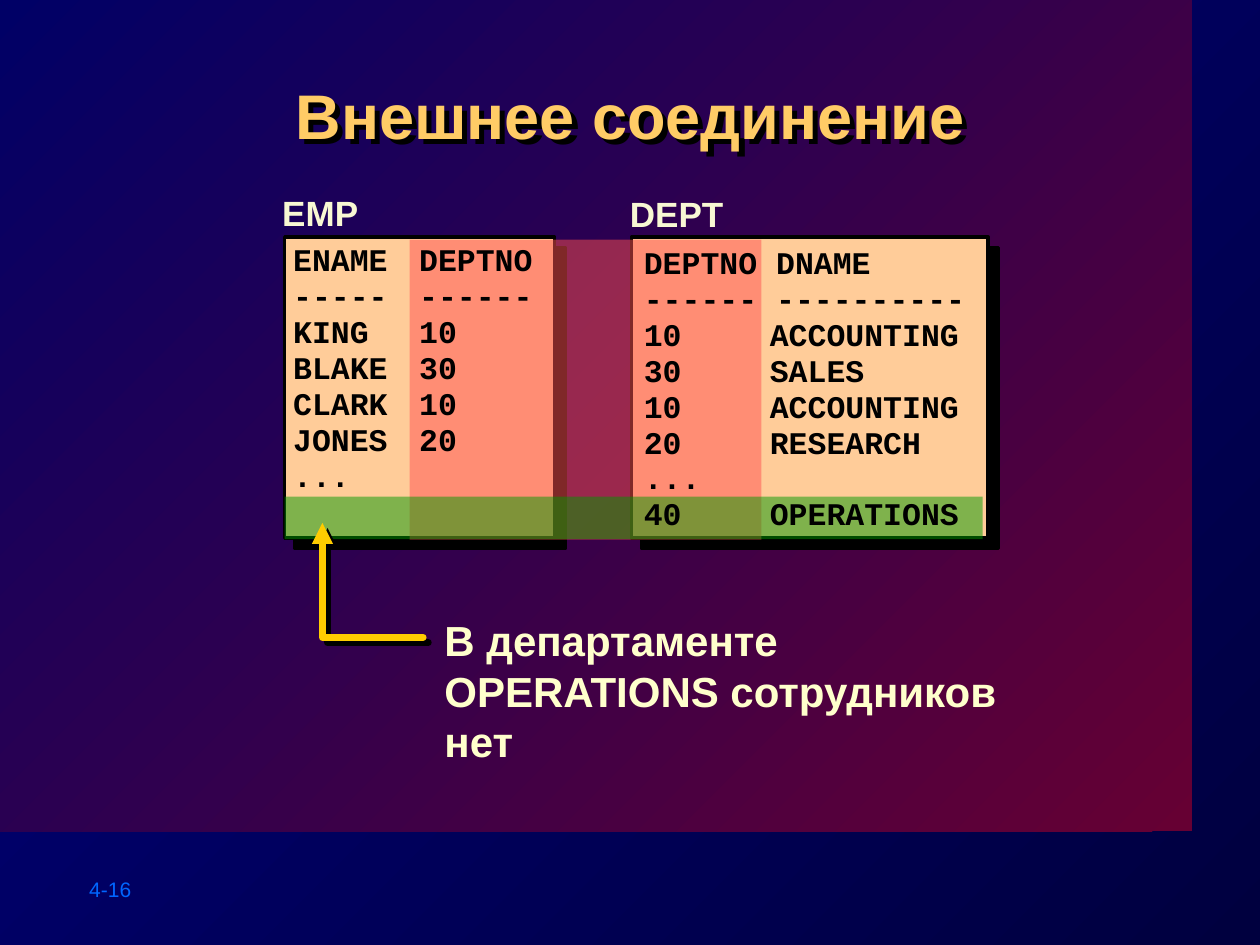
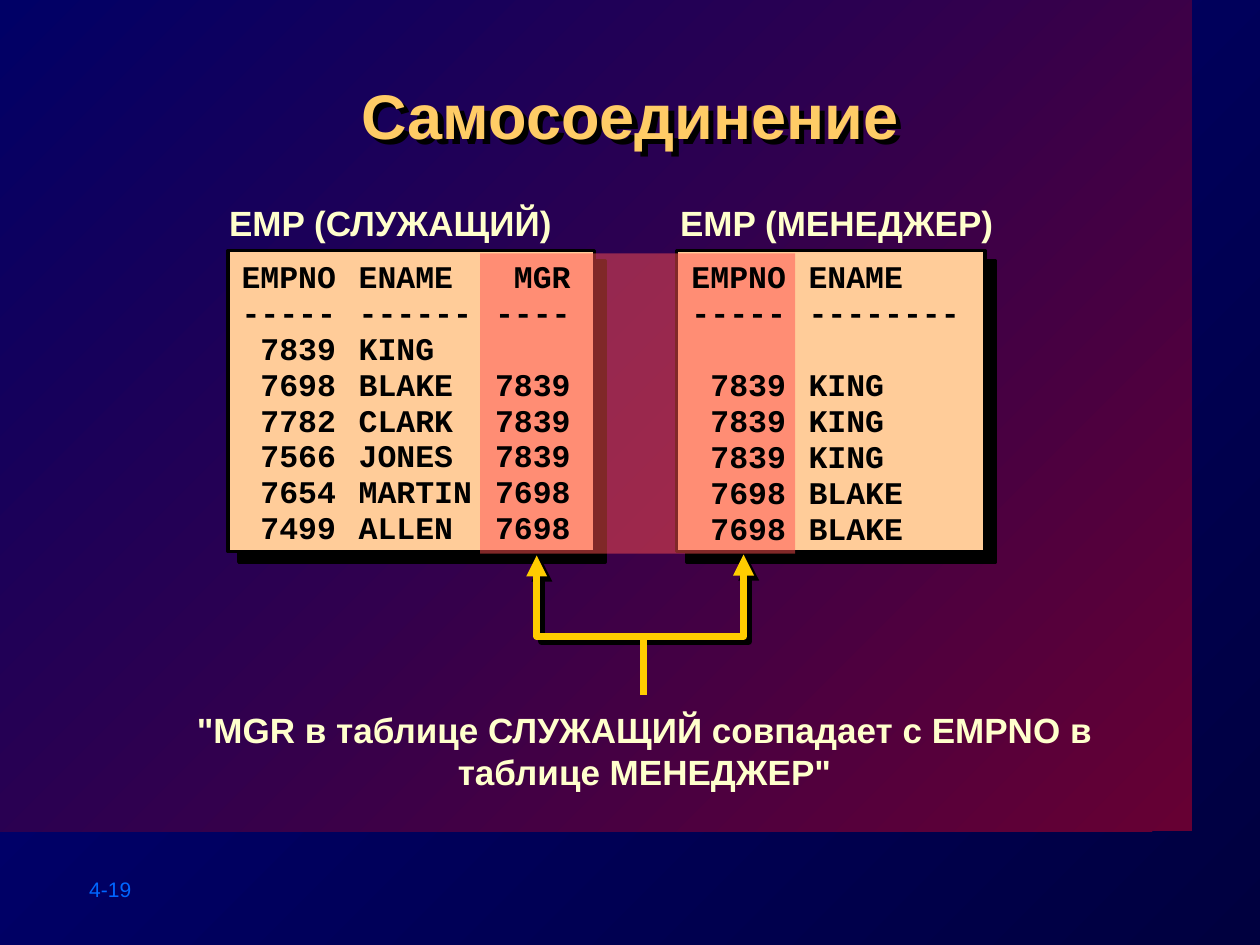
"""Builds two slides that explain the outer join and the self join."""
import dataclasses

import lxml.etree
import pptx
import pptx.dml.color
import pptx.enum.shapes
import pptx.enum.text
import pptx.oxml.ns
import pptx.util

Cm = pptx.util.Cm
Pt = pptx.util.Pt
qn = pptx.oxml.ns.qn
ALIGN = pptx.enum.text.PP_ALIGN
RECTANGLE = pptx.enum.shapes.MSO_SHAPE.RECTANGLE


@dataclasses.dataclass(frozen=True)
class Theme:
    """Colours, fonts and type sizes shared by the slides."""
    backdrop: tuple = ("00003F", "000080")
    stage: tuple = ("660033", "000066")
    black: str = "000000"
    title: str = "FFCC66"
    heading: str = "F8F8D3"
    note: str = "FFFFCC"
    page: str = "0066FF"
    card: str = "FFCC99"
    join_key: str = "FF5050"
    extra_row: str = "009900"
    arrow: str = "FFCC00"
    sans: str = "Arial"
    mono: str = "Courier New"
    title_size: int = 36
    note_size: int = 24
    heading_size: int = 20
    data_size: int = 18
    page_size: int = 12
    card_height: float = 6.07
    band_height: float = 6.05


THEME = Theme()


def rgb(code):
    """Return the colour for a hex code."""
    return pptx.dml.color.RGBColor.from_string(code)


def add_child(parent, tag, **attributes):
    """Append a drawing element and return it."""
    child = lxml.etree.SubElement(parent, qn(tag))
    for name, value in attributes.items():
        child.set(name, str(value))
    return child


def set_gradient(fill, colours):
    """Fill with a two-colour diagonal gradient."""
    fill.gradient()
    fill.gradient_angle = 135
    for stop, colour in zip(fill.gradient_stops, colours):
        stop.color.rgb = rgb(colour)


def cast_shadow(shape, distance):
    """Give a shape a hard black shadow to the lower right."""
    shape.shadow.inherit = False
    effects = shape.element.spPr.find(qn("a:effectLst"))
    shadow = add_child(effects, "a:outerShdw", blurRad=0, dist=Pt(distance),
                       dir=45 * 60000, algn="ctr", rotWithShape=0)
    add_child(shadow, "a:srgbClr", val=THEME.black)


def add_block(slide, left, top, width, height):
    """Add a plain rectangle without outline or shadow."""
    block = slide.shapes.add_shape(RECTANGLE, Cm(left), Cm(top), Cm(width), Cm(height))
    block.shadow.inherit = False
    block.line.fill.background()
    return block


def add_card(slide, left, top, width):
    """Add the card behind a table's data."""
    card = add_block(slide, left, top, width, THEME.card_height)
    card.fill.solid()
    card.fill.fore_color.rgb = rgb(THEME.card)
    card.line.color.rgb = rgb(THEME.black)
    card.line.width = Pt(2)
    cast_shadow(card, 8.5)


def add_band(slide, left, top, width, height, colour):
    """Add a half-transparent highlight band."""
    band = add_block(slide, left, top, width, height)
    band.fill.solid()
    band.fill.fore_color.rgb = rgb(colour)
    add_child(next(band.element.spPr.iter(qn("a:srgbClr"))), "a:alpha", val=50000)


def add_text(slide, left, top, width, height, lines, size, colour,
             font=THEME.sans, bold=True, align=ALIGN.LEFT):
    """Add a wrapped text box with one paragraph for each line."""
    box = slide.shapes.add_textbox(Cm(left), Cm(top), Cm(width), Cm(height))
    frame = box.text_frame
    frame.word_wrap = True
    frame.text = "\n".join(lines)
    for paragraph in frame.paragraphs:
        paragraph.alignment = align
        paragraph.font.name = font
        paragraph.font.size = Pt(size)
        paragraph.font.bold = bold
        paragraph.font.color.rgb = rgb(colour)
    return box


def add_heading(slide, left, top, width, text, colour):
    """Add the name above a table."""
    add_text(slide, left, top, width, 1.09, [text], THEME.heading_size, colour)


def add_rows(slide, left, top, width, rows, tabs):
    """Add table data in columns set by tab stops."""
    data = add_text(slide, left, top, width, THEME.band_height, rows,
                    THEME.data_size, THEME.black, THEME.mono)
    for paragraph in data.text_frame.paragraphs:
        paragraph.line_spacing = 0.95
        properties = paragraph._p.pPr
        stops = add_child(properties, "a:tabLst")
        for tab in tabs:
            add_child(stops, "a:tab", pos=Cm(tab), algn="l")
        properties.find(qn("a:defRPr")).addprevious(stops)
    return data


def add_arrow(slide, points, ends):
    """Add a bent arrow through the points with heads at the named ends."""
    start, *rest = [(Cm(x), Cm(y)) for x, y in points]
    outline = slide.shapes.build_freeform(*start)
    outline.add_line_segments(rest, close=False)
    arrow = outline.convert_to_shape()
    arrow.fill.background()
    arrow.line.color.rgb = rgb(THEME.arrow)
    arrow.line.width = Pt(4)
    cast_shadow(arrow, 4.2)
    stroke = arrow.element.spPr.find(qn("a:ln"))
    stroke.set("cap", "rnd")
    add_child(stroke, "a:round")
    for end in ends:
        add_child(stroke, end, type="triangle")


def add_stem(slide, x, top, bottom):
    """Add the vertical line from the arrow to the note."""
    stem = slide.shapes.add_connector(pptx.enum.shapes.MSO_CONNECTOR.STRAIGHT,
                                      Cm(x), Cm(top), Cm(x), Cm(bottom))
    stem.line.color.rgb = rgb(THEME.arrow)
    stem.line.width = Pt(4)
    add_child(stem.element.spPr, "a:effectLst")


def add_slide(deck, title, page):
    """Add a slide with the shared backdrop, title and page number."""
    slide = deck.slides.add_slide(deck.slide_layouts[6])
    set_gradient(slide.background.fill, THEME.backdrop)
    stage = add_block(slide, 0, 0, 24.03, 16.76)
    set_gradient(stage.fill, THEME.stage)
    add_text(slide, 1.55, 17.55, 2.82, 0.76, [page], THEME.page_size,
             THEME.page, bold=False)
    heading = add_text(slide, 2.57, 1.42, 20.27, 2.44, [title], THEME.title_size,
                       THEME.title, align=ALIGN.CENTER)
    cast_shadow(heading, 4.2)
    return slide


def add_outer_join(deck):
    """Add the slide about the outer join."""
    slide = add_slide(deck, "Внешнее соединение", "4-16")
    add_card(slide, 5.74, 4.78, 5.44)
    add_card(slide, 12.73, 4.78, 7.19)
    add_heading(slide, 5.44, 3.73, 2.6, "EMP", THEME.heading)
    add_heading(slide, 12.45, 3.76, 2.6, "DEPT", THEME.heading)
    add_band(slide, 8.26, 4.83, 7.09, THEME.band_height, THEME.join_key)
    add_band(slide, 5.74, 10.01, 14.07, 0.86, THEME.extra_row)
    add_text(slide, 8.71, 12.27, 12.95, 3.3,
             ["В департаменте OPERATIONS сотрудников нет"],
             THEME.note_size, THEME.note)
    add_arrow(slide, [(8.53, 12.85), (6.5, 12.85), (6.5, 10.54)], ["a:tailEnd"])
    employees = ["ENAME\tDEPTNO", "-----\t------", "KING\t10", "BLAKE\t30",
                 "CLARK\t10", "JONES\t20", "..."]
    departments = ["DEPTNO DNAME", "------ ----------", "10\tACCOUNTING",
                   "30\tSALES", "10\tACCOUNTING", "20\tRESEARCH", "...",
                   "40\tOPERATIONS"]
    add_rows(slide, 5.66, 4.78, 5.51, employees, [2.54])
    add_rows(slide, 12.73, 4.83, 7.11, departments, [2.54])


def add_self_join(deck):
    """Add the slide about the self join."""
    slide = add_slide(deck, "Самосоединение", "4-19")
    add_card(slide, 4.6, 5.05, 7.39)
    add_card(slide, 13.64, 5.05, 6.22)
    add_heading(slide, 4.37, 3.94, 7.3, "EMP (СЛУЖАЩИЙ)", THEME.note)
    add_heading(slide, 13.46, 3.94, 7.3, "EMP (МЕНЕДЖЕР)", THEME.note)
    add_band(slide, 9.68, 5.11, 6.35, THEME.band_height, THEME.join_key)
    add_text(slide, 3.71, 14.15, 18.57, 1.96,
             ['"MGR в таблице СЛУЖАЩИЙ совпадает с EMPNO в таблице МЕНЕДЖЕР"'],
             THEME.heading_size, THEME.note, align=ALIGN.CENTER)
    add_arrow(slide, [(10.82, 11.2), (10.82, 12.83), (14.99, 12.83), (14.99, 11.18)],
              ["a:headEnd", "a:tailEnd"])
    add_stem(slide, 12.98, 12.8, 14.02)
    workers = ["EMPNO\tENAME\t MGR", "-----\t------\t----", " 7839\tKING",
               " 7698\tBLAKE\t7839", " 7782\tCLARK\t7839", " 7566\tJONES\t7839",
               " 7654\tMARTIN\t7698", " 7499\tALLEN\t7698"]
    managers = (["EMPNO\tENAME", "-----\t--------"]
                + [" 7839\tKING"] * 3 + [" 7698\tBLAKE"] * 2)
    add_rows(slide, 4.62, 5.11, 7.32, workers, [2.36, 5.11])
    manager_rows = add_rows(slide, 13.69, 5.11, 6.15, managers, [2.36])
    manager_rows.text_frame.paragraphs[2].space_before = Pt(21)


def main():
    """Build and save the deck."""
    deck = pptx.Presentation()
    deck.slide_width, deck.slide_height = Cm(25.4), Cm(19.05)
    add_outer_join(deck)
    add_self_join(deck)
    deck.save("out.pptx")


if __name__ == "__main__":
    main()
